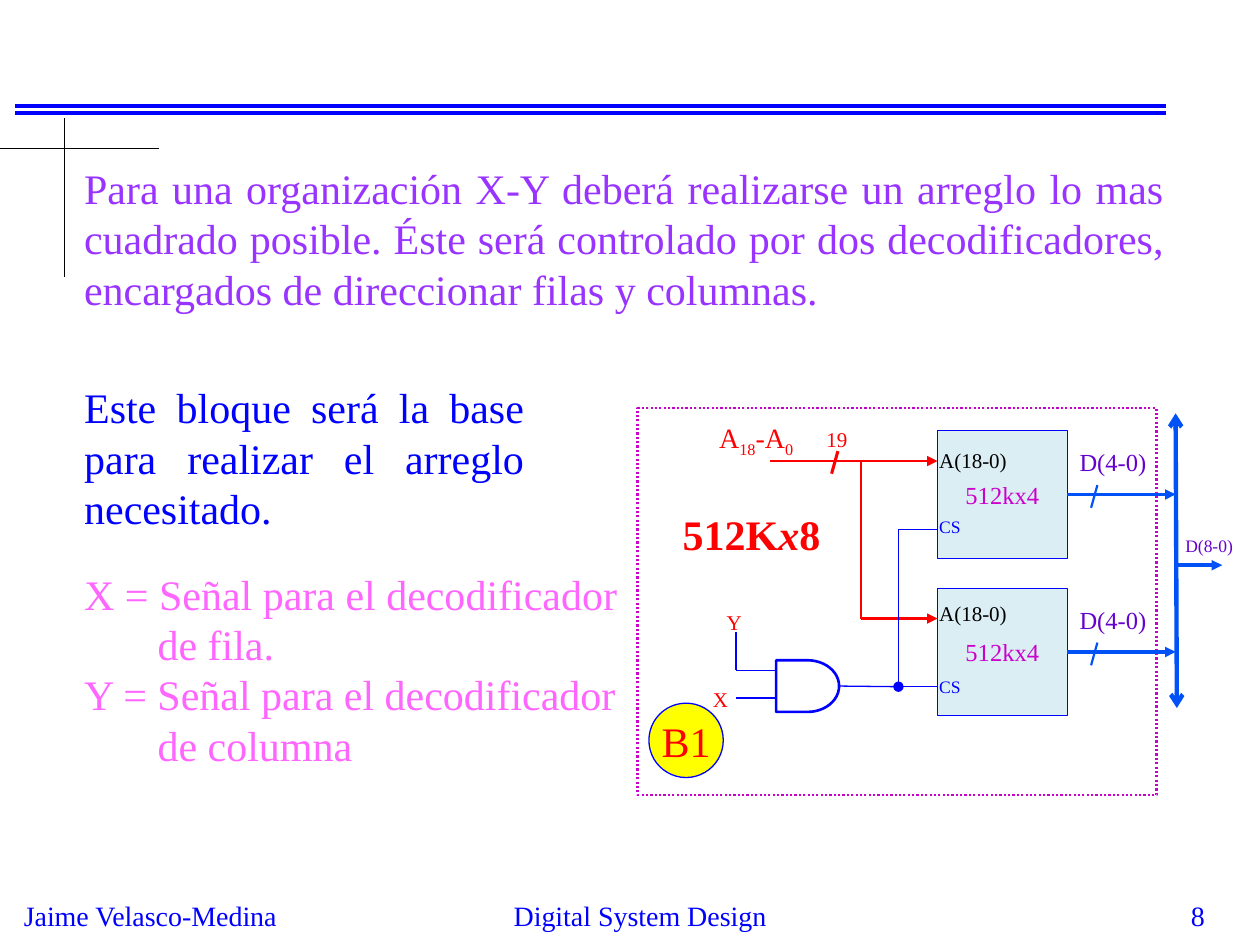
from lxml.etree import SubElement
from pptx import Presentation
from pptx.dml.color import RGBColor
from pptx.enum.dml import MSO_LINE
from pptx.enum.shapes import MSO_CONNECTOR, MSO_SHAPE
from pptx.enum.text import MSO_ANCHOR, PP_ALIGN
from pptx.oxml.ns import qn
from pptx.util import Pt

COLOURS = {
    "blue": "0000FF",
    "bus": "0052F6",
    "red": "FF0000",
    "black": "000000",
    "purple": "9933FF",
    "violet": "6600CC",
    "magenta": "CC00CC",
    "pink": "FF66FF",
    "yellow": "FFFF00",
    "chip": "DBEEF4",
}


class SlideBuilder:
    def __init__(self, page, font="Times New Roman"):
        self.page = page
        self.font = font

    def colour(self, name):
        return RGBColor.from_string(COLOURS[name])

    def add_runs(self, para, runs, size, colour):
        for text, style in runs:
            span = para.add_run()
            span.text = text
            span.font.name = self.font
            span.font.size = Pt(size)
            span.font.color.rgb = self.colour(colour)
            span.font.bold = "bold" in style
            span.font.italic = "italic" in style
            if "sub" in style:
                span._r.get_or_add_rPr().set("baseline", "-25000")

    def text(self, place, paragraphs, size, colour, align=PP_ALIGN.LEFT, before=0):
        box = self.page.shapes.add_textbox(*map(Pt, place))
        frame = box.text_frame
        frame.word_wrap = True
        for number, (runs, indent) in enumerate(paragraphs):
            para = frame.add_paragraph() if number else frame.paragraphs[0]
            para.alignment = align
            para.space_before = Pt(before)
            if indent:
                para._p.get_or_add_pPr().set("marL", str(Pt(indent)))
            self.add_runs(para, runs, size, colour)

    def label(self, place, text, size, colour, align=PP_ALIGN.LEFT):
        self.text(place, [([(text, "")], 0)], size, colour, align)

    def shape(self, kind, place, line, width, fill=None, dash=None,
              text="", size=14, colour="black", wrap=True):
        shape = self.page.shapes.add_shape(kind, *map(Pt, place))
        shape.shadow.inherit = False
        if fill:
            shape.fill.solid()
            shape.fill.fore_color.rgb = self.colour(fill)
        else:
            shape.fill.background()
        shape.line.color.rgb = self.colour(line)
        shape.line.width = Pt(width)
        if dash:
            shape.line.dash_style = dash
        if text:
            frame = shape.text_frame
            frame.word_wrap = wrap
            frame.vertical_anchor = MSO_ANCHOR.MIDDLE
            para = frame.paragraphs[0]
            para.alignment = PP_ALIGN.CENTER
            self.add_runs(para, [(text, "")], size, colour)
        return shape

    def line(self, ends, colour, width, head=None, tail=None, source=None):
        connector = self.page.shapes.add_connector(MSO_CONNECTOR.STRAIGHT, *map(Pt, ends))
        if source:
            connector.begin_connect(source, 3)
        connector.line.color.rgb = self.colour(colour)
        connector.line.width = Pt(width)
        properties = connector.element.spPr
        outline = properties.find(qn("a:ln"))
        for tag, kind in (("a:headEnd", head), ("a:tailEnd", tail)):
            if kind:
                SubElement(outline, qn(tag), type=kind)
        SubElement(properties, qn("a:effectLst"))


def add_frame(slide):
    for y in (60.5, 64.8):
        slide.line((8.6, y, 666, y), "blue", 2.25)
    slide.line((0, 85, 90.7, 85), "black", 0.75)
    slide.line((36.7, 67.7, 36.7, 158.4), "black", 0.75)
    slide.label((6.5, 509.8, 170, 26.6), "Jaime Velasco-Medina", 16, "blue")
    slide.label((239.8, 509.8, 252, 23.8), "Digital System Design", 16, "blue", PP_ALIGN.CENTER)
    slide.label((545.8, 509.8, 149.8, 18), "8", 16, "blue", PP_ALIGN.RIGHT)


def add_explanation(slide):
    slide.label(
        (41, 89.3, 631.4, 93.6),
        "Para una organización X-Y deberá realizarse un arreglo lo mas cuadrado posible. "
        "Éste será controlado por dos decodificadores, encargados de direccionar filas y columnas.",
        24, "purple", PP_ALIGN.JUSTIFY)
    slide.label(
        (41, 214.6, 265.7, 93.6),
        "Este bloque será la base para realizar el arreglo necesitado.",
        24, "blue", PP_ALIGN.JUSTIFY)
    signals = []
    for name, target in (("X", "de fila."), ("Y", "de columna")):
        signals.append(([(f"{name} = Señal para el decodificador", "")], 0))
        signals.append(([(target, "")], 42))
    slide.text((41, 321.1, 414.7, 151.2), signals, 24, "pink")


def add_memory(slide, top, address_top, select_top):
    left, bus = 535.7, 671.8
    chip = slide.shape(MSO_SHAPE.RECTANGLE, (left, top, 74.2, 72.7), "blue", 0.5,
                       "chip", text="512kx4", colour="magenta")
    middle = top + 36.35
    slide.label((529.6, address_top, 56.2, 21.6), "A(18-0)", 12, "black")
    slide.label((529.6, select_top, 31, 19.4), "CS", 10, "blue")
    slide.label((609.8, top + 5.8, 56.2, 24.5), "D(4-0)", 14, "violet")
    slide.line((left + 74.2, middle, bus, middle), "bus", 2, tail="triangle", source=chip)
    slide.line((623.5, top + 44, 627.1, top + 31), "bus", 1.25)
    slide.line((513.4, top + 56.2, left, top + 56.2), "blue", 0.75)


def add_block(slide):
    slide.shape(MSO_SHAPE.RECTANGLE, (364.3, 233.3, 296.6, 221), "magenta", 1.25,
                dash=MSO_LINE.ROUND_DOT)
    add_memory(slide, 246.2, 252, 291.6)
    add_memory(slide, 336.2, 339.8, 383)

    slide.line((439.9, 263.5, 535.7, 263.5), "red", 1.25, tail="triangle")
    slide.line((491.8, 353.5, 491.8, 263.5), "red", 1.25)
    slide.line((491.8, 353.5, 535.7, 353.5), "red", 1.25, tail="triangle")
    slide.line((475.2, 270.7, 478.8, 257.8), "red", 1.75)
    address = [("A", ""), ("18", "sub"), ("-A", ""), ("0", "sub")]
    slide.text((403.9, 236.9, 71.3, 29.5), [(address, 0)], 16, "red")
    slide.label((465.1, 240.5, 28.1, 36), "19", 12, "red")

    title = [("512K", "bold"), ("x", "bold italic"), ("8", "bold")]
    slide.text((383, 287.3, 103, 36), [(title, 0)], 24, "red", before=15)
    slide.shape(MSO_SHAPE.OVAL, (370.8, 401.8, 42.5, 42.5), "blue", 0.75, "yellow",
                text="B1", size=24, colour="red", wrap=False)

    gate = slide.shape(MSO_SHAPE.FLOWCHART_DELAY, (443.5, 377.3, 36, 29.5), "blue", 1.5)
    slide.line((479.5, 392.05, 513.4, 392.4), "blue", 0.75, tail="oval", source=gate)
    slide.line((513.4, 302.4, 513.4, 392.4), "blue", 0.75)
    for y in (383, 398.9):
        slide.line((420.5, y, 443.5, y), "blue", 0.75)
    slide.line((420.5, 361.4, 420.5, 383), "blue", 0.75)
    slide.label((408.2, 344.9, 28.1, 21.6), "Y", 12, "red")
    slide.label((400.3, 388.8, 28.1, 21.6), "X", 12, "red")

    slide.line((671.8, 236.2, 672.5, 404.6), "bus", 2.5, head="arrow", tail="arrow")
    slide.line((673.2, 323, 698.4, 323), "bus", 2, tail="triangle")
    slide.label((670.3, 302.4, 46.1, 19.4), "D(8-0)", 10, "violet")


def main():
    deck = Presentation()
    deck.slide_width, deck.slide_height = Pt(720), Pt(540)
    slide = SlideBuilder(deck.slides.add_slide(deck.slide_layouts[6]))
    add_frame(slide)
    add_explanation(slide)
    add_block(slide)
    deck.save("out.pptx")


if __name__ == "__main__":
    main()
